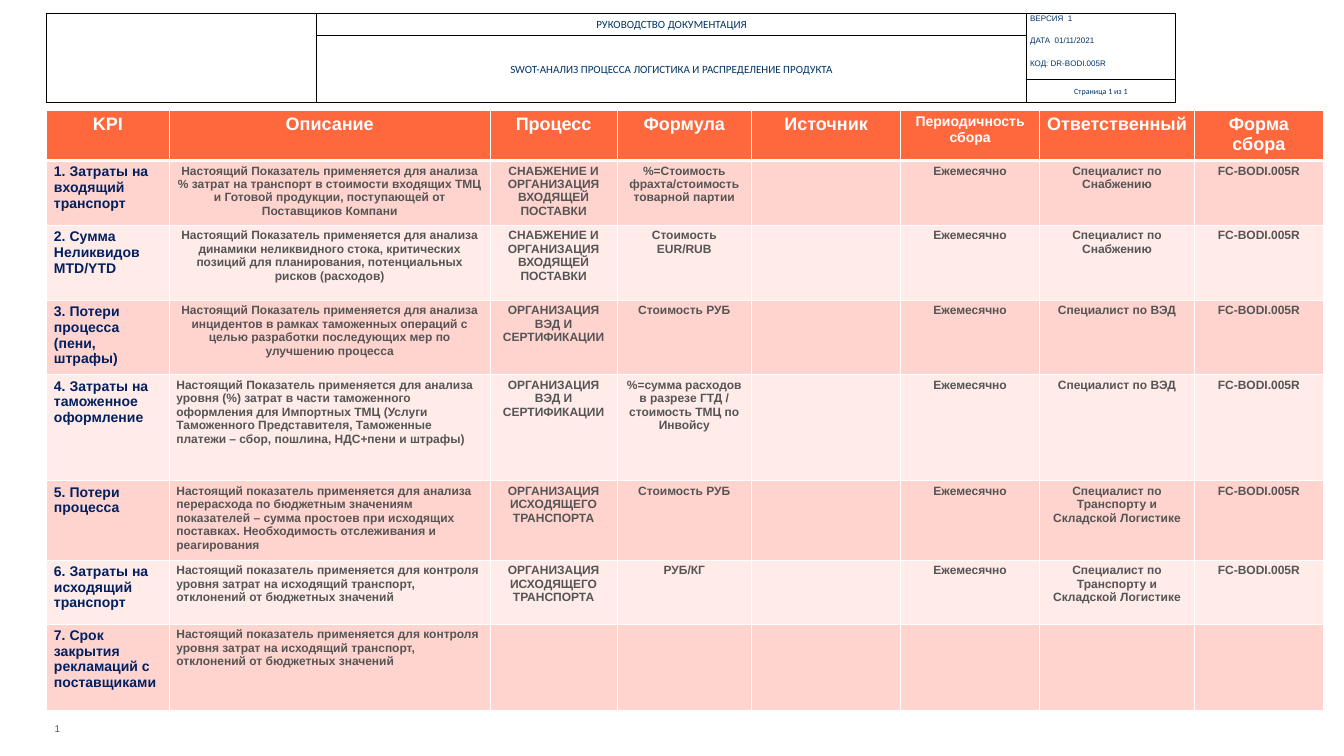
from lxml.etree import SubElement as Sub
from pptx import Presentation as Deck
from pptx.dml.color import RGBColor as Rgb
from pptx.enum.text import MSO_ANCHOR as Anchor, PP_ALIGN as Align
from pptx.oxml.ns import qn
from pptx.util import Inches, Pt

HUES = {
    "accent": "FF683C", "dark": "FFD4CE", "light": "FFEBE8", "white": "FFFFFF",
    "black": "000000", "grey": "555555", "navy": "002060", "blue": "003366",
}
LEFT = 3.48
CODE = "FC-BODI.005R"
MONTH = "Ежемесячно"
HEADS = ["KPI", "Описание", "Процесс", "Формула", "Источник",
         "Периодичность сбора", "Ответственный", "Форма сбора"]
USE = "Настоящий Показатель применяется для анализа "
CHECK = ("Настоящий показатель применяется для контроля уровня затрат на "
         "исходящий транспорт, отклонений от бюджетных значений")
SUPPLY = "СНАБЖЕНИЕ И ОРГАНИЗАЦИЯ ВХОДЯЩЕЙ ПОСТАВКИ"
TRADE = "ОРГАНИЗАЦИЯ ВЭД И СЕРТИФИКАЦИИ"
SHIP = "ОРГАНИЗАЦИЯ ИСХОДЯЩЕГО ТРАНСПОРТА"
BUYER = "Специалист по Снабжению"
BROKER = "Специалист по ВЭД"
MOVER = "Специалист по Транспорту и Складской Логистике"
COST = "Стоимость РУБ"
KPIS = [
    ("1. Затраты на входящий транспорт",
     USE + "% затрат на транспорт в стоимости входящих ТМЦ и Готовой "
     "продукции, поступающей от Поставщиков Компани",
     SUPPLY, "%=Стоимость фрахта/стоимость товарной партии", BUYER),
    ("2. Сумма Неликвидов MTD/YTD",
     USE + "динамики неликвидного стока, критических позиций для "
     "планирования, потенциальных рисков (расходов)",
     SUPPLY, "Стоимость EUR/RUB", BUYER),
    ("3. Потери процесса (пени, штрафы)",
     USE + "инцидентов в рамках таможенных операций с целью разработки "
     "последующих мер по улучшению процесса",
     TRADE, COST, BROKER),
    ("4. Затраты на таможенное оформление",
     USE + "уровня (%) затрат в части таможенного оформления для Импортных "
     "ТМЦ (Услуги Таможенного Представителя, Таможенные платежи – сбор, "
     "пошлина, НДС+пени и штрафы)",
     TRADE, "%=сумма расходов в разрезе ГТД / стоимость ТМЦ по Инвойсу", BROKER),
    ("5. Потери процесса",
     "Настоящий показатель применяется для анализа перерасхода по бюджетным "
     "значениям показателей – сумма простоев при исходящих поставках. "
     "Необходимость отслеживания и реагирования",
     SHIP, COST, MOVER),
    ("6. Затраты на исходящий транспорт", CHECK, SHIP, "РУБ/КГ", MOVER),
    ("7. Срок закрытия рекламаций с поставщиками", CHECK, "", "", ""),
]


class Page:
    def __init__(self, deck):
        self.wide, self.high = deck.slide_width, deck.slide_height
        self.slide = deck.slides.add_slide(deck.slide_layouts[6])

    def x(self, share):
        return round(self.wide * share / 100)

    def y(self, share):
        return round(self.high * share / 100)

    def letter(self, frame, text, size, hue, font="Arial", bold=False, align=Align.LEFT):
        frame.text = text
        para = frame.paragraphs[0]
        para.alignment = align
        for run in para.runs:
            run.font.size, run.font.name, run.font.bold = Pt(size), font, bold
            run.font.color.rgb = Rgb.from_string(HUES[hue])
        if not text:
            para._p.get_or_add_endParaRPr().set("sz", str(size * 100))
        return para

    def grid(self, left, top, cols, rows):
        shape = self.slide.shapes.add_table(
            len(rows), len(cols), self.x(left), self.y(top),
            self.x(sum(cols)), self.y(sum(rows)))
        table = shape.table
        table.first_row = table.horz_banding = False
        for col, share in zip(table.columns, cols):
            col.width = self.x(share)
        for row, share in zip(table.rows, rows):
            row.height = self.y(share)
        return table

    def edge(self, cell, hue, sizes):
        props = cell._tc.get_or_add_tcPr()
        for side, size in zip("LRTB", sizes):
            line = Sub(props, qn("a:ln" + side), w=str(Pt(size)))
            if size:
                fill = Sub(line, qn("a:solidFill"))
                Sub(fill, qn("a:srgbClr"), val=HUES[hue])
            else:
                Sub(line, qn("a:noFill"))

    def label(self, left, top, wide, high, text, size, hue):
        box = self.slide.shapes.add_textbox(
            self.x(left), self.y(top), self.x(wide), self.y(high))
        frame = box.text_frame
        frame.word_wrap = True
        frame.vertical_anchor = Anchor.MIDDLE
        frame.margin_left = frame.margin_right = 0
        frame.margin_top = frame.margin_bottom = 0
        self.letter(frame, text, size, hue)

    def banner(self):
        table = self.grid(LEFT, 1.71, [20.09, 52.81, 11.09], [2.95] * 4)
        texts = {
            (0, 1): ("РУКОВОДСТВО ДОКУМЕНТАЦИЯ", 11, "Calibri", 10),
            (1, 1): ("SWOT-АНАЛИЗ ПРОЦЕССА ЛОГИСТИКА И РАСПРЕДЕЛЕНИЕ ПРОДУКТА",
                     11, "Calibri", 10),
            (0, 2): ("ВЕРСИЯ  1", 8, "Arial", 2.9),
            (1, 2): ("ДАТА  01/11/2021", 8, "Arial", 2.9),
            (2, 2): ("КОД: DR-BODI.005R", 8, "Arial", 10),
            (3, 2): ("Страница 1 из 1", 8, "Calibri", 10),
        }
        for row in range(4):
            for col in range(3):
                cell = table.cell(row, col)
                text, size, font, after = texts.get((row, col), ("", 8, "Arial", 0))
                mid = font == "Calibri"
                para = self.letter(cell.text_frame, text, size, "blue", font,
                                   align=Align.CENTER if mid else Align.LEFT)
                para.line_spacing, para.space_after = 1.15, Pt(after)
                cell.vertical_anchor = Anchor.MIDDLE if mid else Anchor.TOP
                cell.margin_left = cell.margin_right = Inches(0.05)
                cell.margin_top = cell.margin_bottom = 0
                open_top = col == 2 and row in (1, 2)
                open_low = col == 2 and row in (0, 1)
                self.edge(cell, "black", (1, 1, int(not open_top), int(not open_low)))
                cell.fill.background()
        table.cell(0, 0).merge(table.cell(3, 0))
        table.cell(1, 1).merge(table.cell(3, 1))

    def matrix(self):
        cols = [9.11, 23.89, 9.43, 10.02, 11.09, 10.34, 11.52, 9.59]
        rows = [6.22, 8.07, 9.92, 9.79, 14.02, 9.79, 8.47, 11.38]
        table = self.grid(LEFT, 14.57, cols, rows)
        data = [HEADS]
        for name, about, work, rule, owner in KPIS:
            pair = (MONTH, CODE) if owner else ("", "")
            data.append([name, about, work, rule, "", pair[0], owner, pair[1]])
        for row, texts in enumerate(data):
            for col, text in enumerate(texts):
                cell = table.cell(row, col)
                size, hue, back = 12, "grey", "dark" if row % 2 else "light"
                align = Align.CENTER
                if row == 0:
                    size, hue, back = 14 if col == 5 else 18, "white", "accent"
                elif col == 0:
                    size, hue, align = 14, "navy", Align.LEFT
                elif col == 1 and row > 3:
                    align = Align.LEFT
                self.letter(cell.text_frame, text, size, hue, bold=True, align=align)
                self.edge(cell, "white", (1, 1, 3 if row == 1 else 1, 1 if row else 3))
                cell.fill.solid()
                cell.fill.fore_color.rgb = Rgb.from_string(HUES[back])


def main():
    deck = Deck()
    deck.slide_width, deck.slide_height = Inches(18.67), Inches(10.5)
    page = Page(deck)
    page.label(4.07, 94.48, 4.39, 3.9, "1", 9.8, "grey")
    page.banner()
    page.matrix()
    deck.save("out.pptx")


if __name__ == "__main__":
    main()
